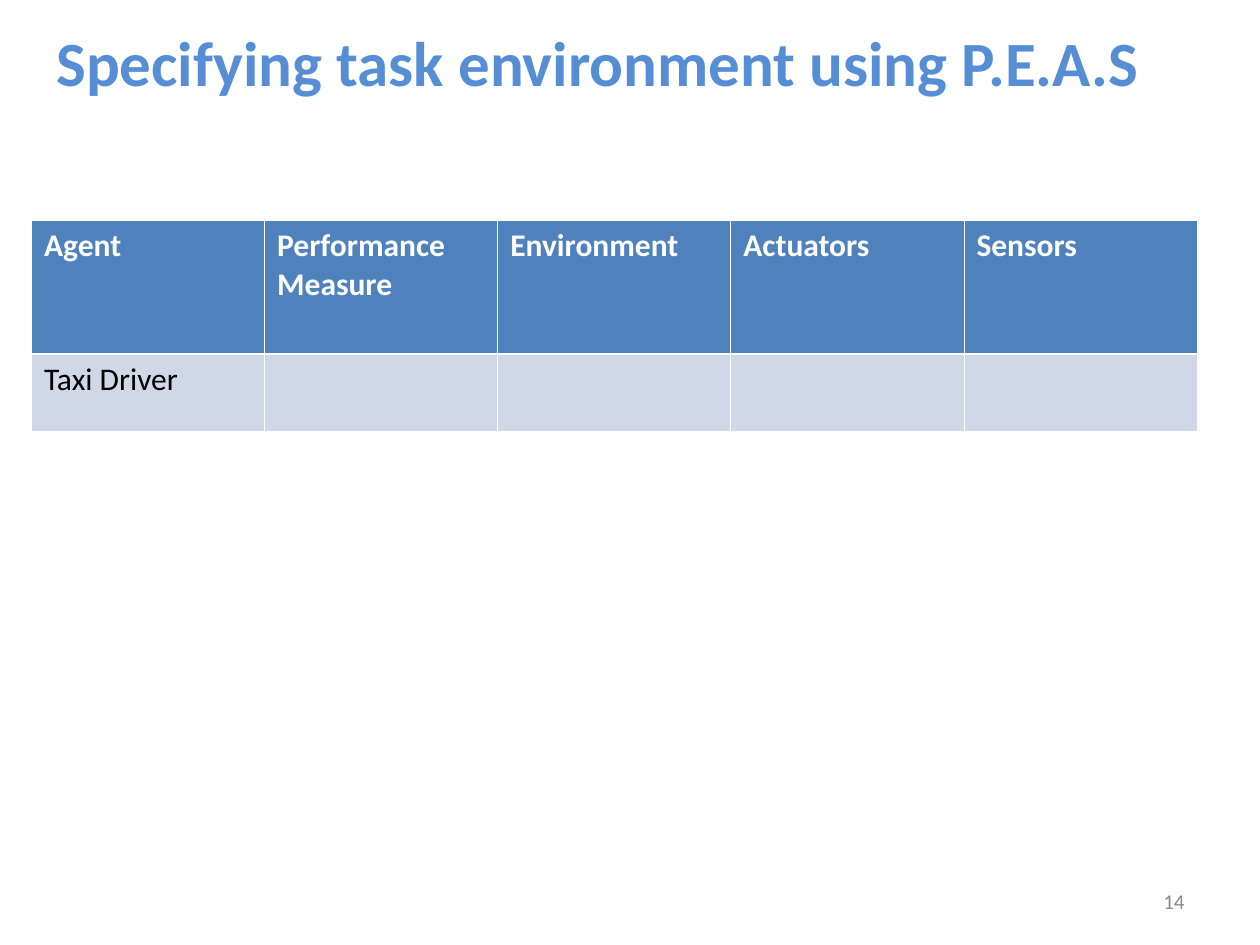
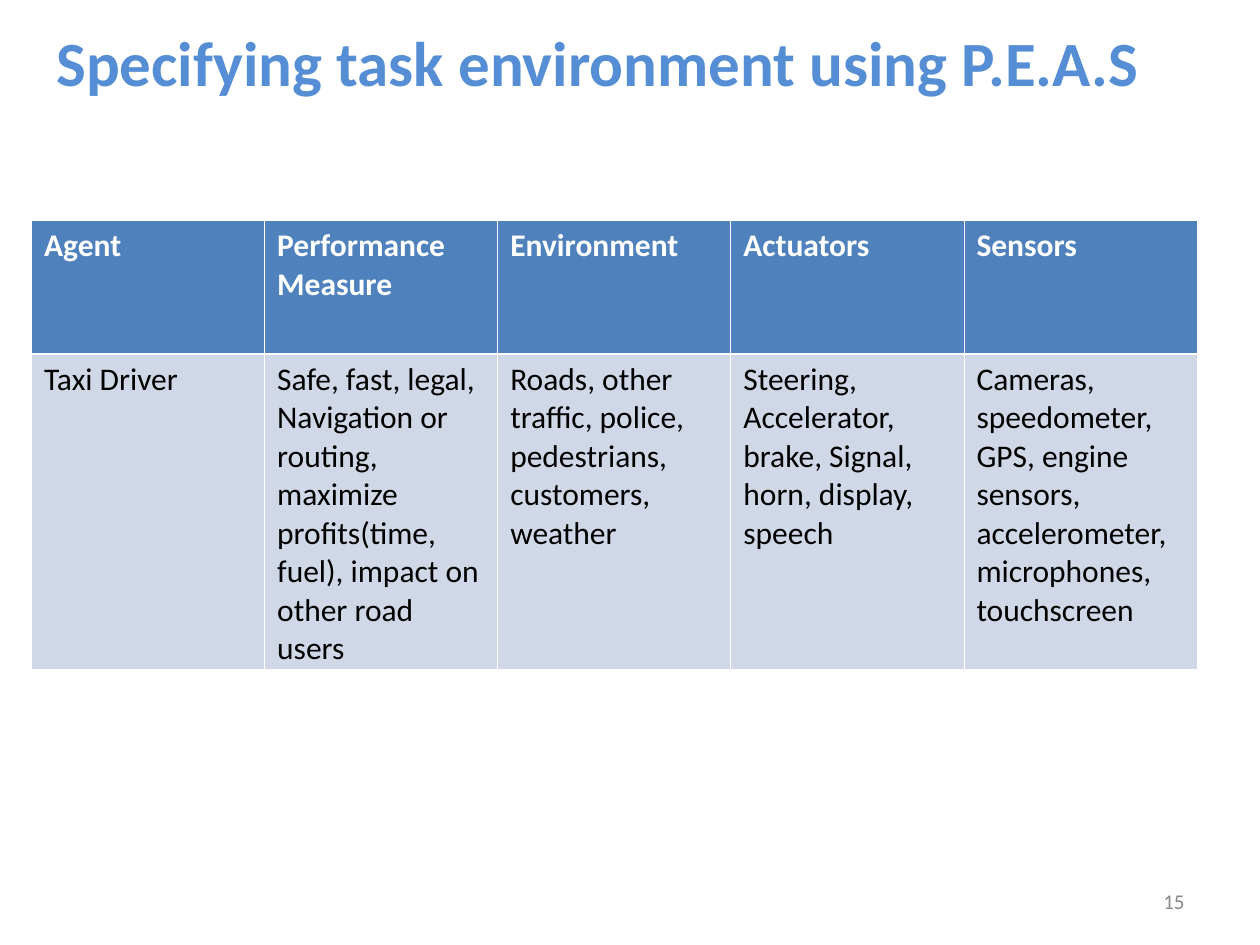
"""Build two slides that specify a taxi driver's task environment with P.E.A.S."""
from dataclasses import dataclass

from lxml import etree
from pptx import Presentation
from pptx.dml.color import RGBColor
from pptx.enum.text import MSO_ANCHOR, PP_ALIGN
from pptx.oxml.ns import qn
from pptx.util import Inches, Pt

LEFT, CENTER, RIGHT = PP_ALIGN.LEFT, PP_ALIGN.CENTER, PP_ALIGN.RIGHT
TOP, MIDDLE = MSO_ANCHOR.TOP, MSO_ANCHOR.MIDDLE

GRID_COLUMNS, GRID_ROWS = 40, 30
TITLE_AREA = (0.48, 0.6, 37, 2.72)
NUMBER_AREA = (28.68, 27.8, 9.32, 1.6)
TABLE_AREA = (1, 7, 37)
HEADER_HEIGHT = 4.24

TITLE = "Specifying task environment using P.E.A.S"
HEADINGS = ["Agent", "Performance Measure", "Environment", "Actuators", "Sensors"]
AGENT = "Taxi Driver"
FIRST_NUMBER = 14
SLIDES = [
    (2.44, [AGENT, "", "", "", ""]),
    (10, [
        AGENT,
        "Safe, fast, legal,\nNavigation or routing, maximize profits(time, fuel), "
        "impact on other road users",
        "Roads, other traffic, police, pedestrians, customers, weather",
        "Steering, Accelerator, brake, Signal, horn, display, speech",
        "Cameras, speedometer, GPS, engine sensors, accelerometer, microphones, touchscreen",
    ]),
]


@dataclass(frozen=True)
class Theme:
    """Colours, font, type sizes and line widths."""
    font: str = "Calibri"
    background: str = "FFFFFF"
    title: str = "558ED5"
    number: str = "898989"
    header_text: str = "FFFFFF"
    header_fill: str = "4F81BD"
    body_text: str = "000000"
    body_fill: str = "D0D8E8"
    border: str = "FFFFFF"
    title_size: int = 36
    number_size: int = 12
    table_size: int = 18
    thin_line: float = 0.45
    thick_line: float = 1.47


class Deck:
    """Hold the theme and the current slide, and draw each kind of element."""

    def __init__(self, theme):
        """Start a presentation on the shared grid."""
        self.theme = theme
        self.presentation = Presentation()
        self.presentation.slide_width = Inches(10)
        self.presentation.slide_height = Inches(7.5)
        self.slide = None

    def across(self, columns):
        """Turn grid columns into a length."""
        return round(self.presentation.slide_width * columns / GRID_COLUMNS)

    def down(self, rows):
        """Turn grid rows into a length."""
        return round(self.presentation.slide_height * rows / GRID_ROWS)

    def add_slide(self, number):
        """Begin a slide with the shared background, title and number."""
        theme = self.theme
        self.slide = self.presentation.slides.add_slide(self.presentation.slide_layouts[6])
        fill = self.slide.background.fill
        fill.solid()
        fill.fore_color.rgb = RGBColor.from_string(theme.background)
        self.text_box(TITLE_AREA, TITLE, CENTER, theme.title, theme.title_size, True)
        self.text_box(NUMBER_AREA, str(number), RIGHT, theme.number, theme.number_size)

    def fill_text(self, frame, text, alignment, color, size, bold=False):
        """Fill a text frame, one paragraph for each line."""
        frame.text = text
        font_format = {"name": self.theme.font, "size": Pt(size), "bold": bold}
        for paragraph in frame.paragraphs:
            paragraph.alignment = alignment
            for font in [paragraph.font, *(run.font for run in paragraph.runs)]:
                for name, value in font_format.items():
                    setattr(font, name, value)
                font.color.rgb = RGBColor.from_string(color)

    def text_box(self, area, text, *style):
        """Add a wrapped, vertically centred text box."""
        left, top, width, height = area
        shape = self.slide.shapes.add_textbox(
            self.across(left), self.down(top), self.across(width), self.down(height))
        frame = shape.text_frame
        for name, value in {"word_wrap": True, "vertical_anchor": MIDDLE}.items():
            setattr(frame, name, value)
        self.fill_text(frame, text, *style)

    def borders(self, cell, is_header):
        """Draw thin borders, with a thick one between header and body."""
        theme = self.theme
        thick_side = "lnB" if is_header else "lnT"
        properties = cell._tc.get_or_add_tcPr()
        for side in ("lnL", "lnR", "lnT", "lnB"):
            width = theme.thick_line if side == thick_side else theme.thin_line
            line = etree.SubElement(properties, qn(f"a:{side}"), w=str(int(Pt(width))))
            fill = etree.SubElement(line, qn("a:solidFill"))
            etree.SubElement(fill, qn("a:srgbClr"), val=theme.border)

    def table_cell(self, cell, text, is_header):
        """Style and fill one table cell."""
        theme = self.theme
        color, fill = ((theme.header_text, theme.header_fill) if is_header
                       else (theme.body_text, theme.body_fill))
        self.borders(cell, is_header)
        cell.fill.solid()
        cell.fill.fore_color.rgb = RGBColor.from_string(fill)
        cell.vertical_anchor = TOP
        self.fill_text(cell.text_frame, text, LEFT, color, theme.table_size, is_header)

    def table(self, rows, heights):
        """Add a table of equal columns whose first row is the header."""
        left, top, width = TABLE_AREA
        table = self.slide.shapes.add_table(
            len(rows), len(rows[0]), self.across(left), self.down(top),
            self.across(width), self.down(sum(heights))).table
        for name in ("first_row", "horz_banding"):
            setattr(table, name, False)
        for column in table.columns:
            column.width = self.across(width / len(rows[0]))
        for index, (texts, height) in enumerate(zip(rows, heights)):
            table.rows[index].height = self.down(height)
            for cell, text in zip(table.rows[index].cells, texts):
                self.table_cell(cell, text, index == 0)


def main():
    """Build both slides and save them."""
    deck = Deck(Theme())
    for number, (body_height, answers) in enumerate(SLIDES, FIRST_NUMBER):
        deck.add_slide(number)
        deck.table([HEADINGS, answers], [HEADER_HEIGHT, body_height])
    deck.presentation.save("out.pptx")


if __name__ == "__main__":
    main()
